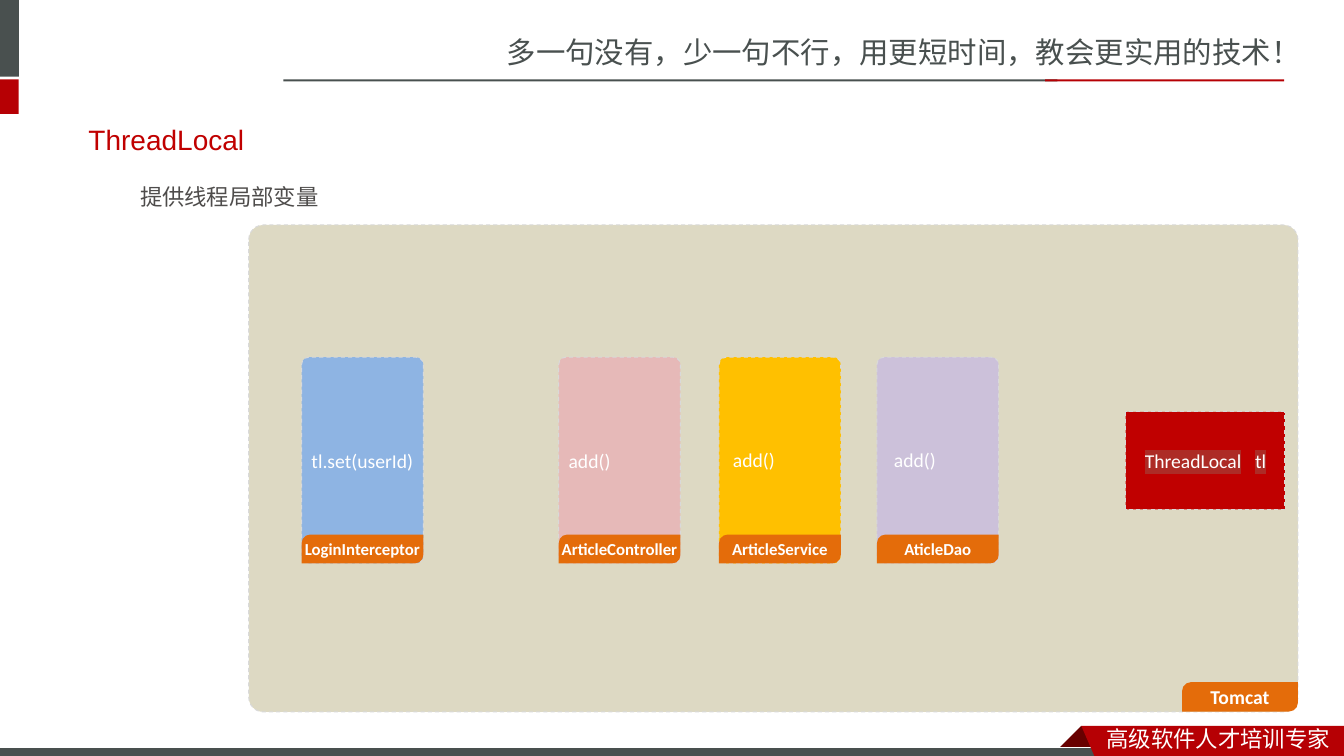
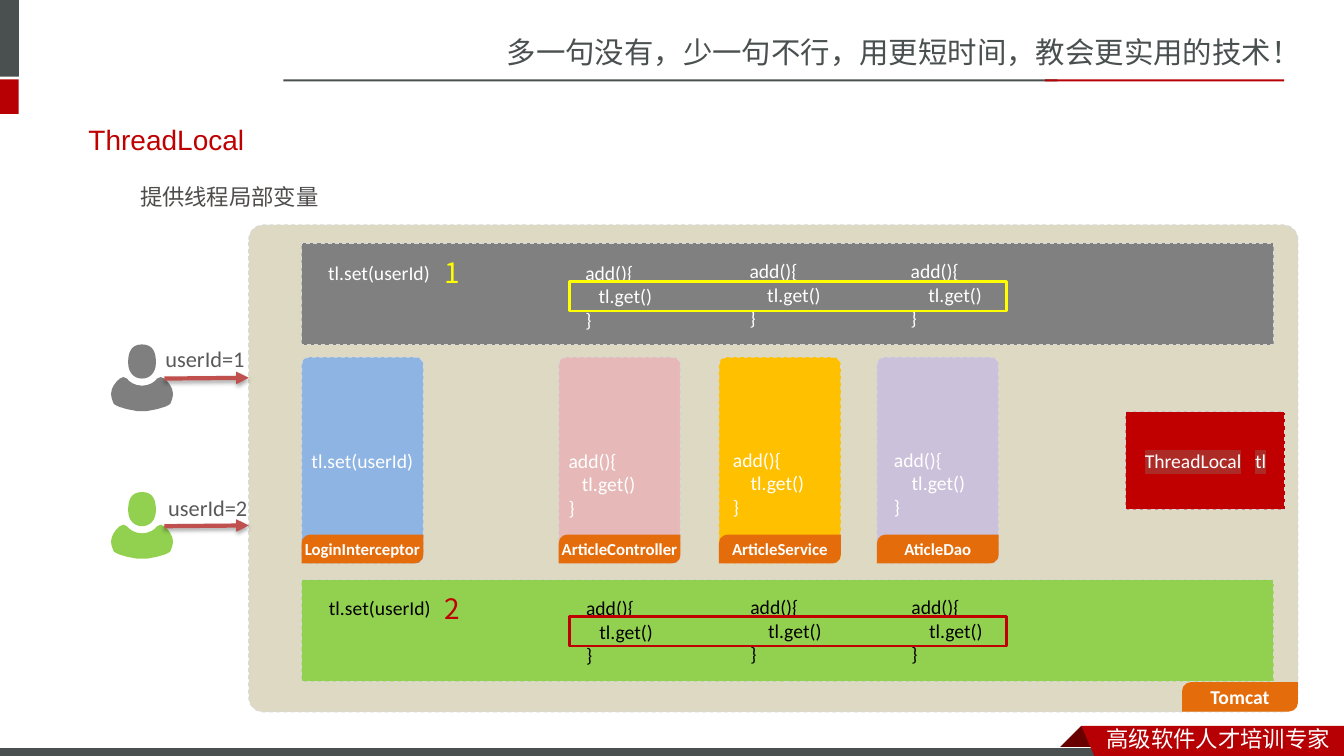
from lxml import etree
from pptx import Presentation
from pptx.dml.color import RGBColor
from pptx.enum.dml import MSO_LINE
from pptx.enum.shapes import MSO_CONNECTOR, MSO_SHAPE
from pptx.enum.text import MSO_ANCHOR, PP_ALIGN
from pptx.oxml.ns import qn
from pptx.util import Cm, Pt

COLORS = {
    "slate": "49504F", "red": "B60004", "dark red": "680000", "crimson": "C00000",
    "white": "FFFFFF", "black": "000000", "body": "4E4C4B", "user": "595959",
    "sand": "DDD9C3", "dash": "D9D9D9", "orange": "E46C0A", "blue": "8EB4E3",
    "pink": "E6B9B8", "amber": "FFC000", "lilac": "CCC1DA", "grey": "808080",
    "person grey": "7F7F7F", "green": "92D050", "yellow": "FFFF00",
    "arrow": "C0504D", "highlight": "AD2B26",
}
SC, JP = "Noto Sans CJK SC", "Noto Sans CJK JP"

# Cards: name, left, colour, left of the code, rise of the code, indent of the call
CARDS = [
    ("LoginInterceptor", 7.6, "blue", 7.6, 0, None),
    ("ArticleController", 14.08, "pink", 14.08, 0, 3),
    ("ArticleService", 18.12, "amber", 18.22, 0.03, 4),
    ("AticleDao", 22.1, "lilac", 22.28, 0.03, 4),
]

# Threads: number, lane top, lane colour, code shift, code top, code colour,
# frame top, mark colour, person top, person colour, left and top of the user label
THREADS = [
    ("1", 6.13, "grey", 0.42, 6.44, "white", 7.1, "yellow", 8.68, "person grey", 3.92, 8.58),
    ("2", 14.61, "green", 0.44, 14.9, "black", 15.54, "crimson", 12.4, "green", 3.99, 12.33),
]

# Right halves of the person outline, in 0.01 cm: start, then cubic curves
AXIS = 79
PERSON = [
    ((79, 104), [
        ((97, 104), (112, 94), (117, 86)), ((122, 81), (130, 81), (135, 86)),
        ((145, 94), (157, 109), (157, 124)), ((157, 135), (152, 145), (150, 150)),
        ((147, 152), (142, 155), (137, 157)), ((132, 160), (122, 160), (117, 163)),
        ((108, 165), (100, 166), (91, 168)), ((87, 168), (83, 168), (79, 168))]),
    ((79, 0), [((107, 0), (114, 20), (114, 46)), ((114, 71), (99, 86), (79, 86))]),
]


def paint(shape, fill=None, line=None, width=0.75, dashed=False):
    shape.shadow.inherit = False
    if fill:
        shape.fill.solid()
        shape.fill.fore_color.rgb = RGBColor.from_string(COLORS[fill])
    else:
        shape.fill.background()
    if line:
        shape.line.color.rgb = RGBColor.from_string(COLORS[line])
        shape.line.width = Pt(width)
        if dashed:
            shape.line.dash_style = MSO_LINE.DASH
    else:
        shape.line.fill.background()


def write(shape, lines, size, color, font="Calibri", label=False):
    frame = shape.text_frame
    frame.word_wrap = True
    if label:
        frame.vertical_anchor = MSO_ANCHOR.MIDDLE
        frame.margin_left = frame.margin_right = 0
        frame.margin_top = frame.margin_bottom = 0
    frame.text = "\n".join(lines)
    for paragraph in frame.paragraphs:
        paragraph.alignment = PP_ALIGN.CENTER if label else PP_ALIGN.LEFT
        paragraph.font.size = Pt(size)
        paragraph.font.bold = label
        paragraph.font.color.rgb = RGBColor.from_string(COLORS[color])
        paragraph.font.name = font
        properties = paragraph._p.pPr.find(qn("a:defRPr"))
        etree.SubElement(properties, qn("a:ea")).set("typeface", font)


# Full person outline: each right half, then its mirror image back to the start
person_contours = []
for start, curves in PERSON:
    points = [start] + [point for curve in curves for point in curve]
    points += [(2 * AXIS - x, y) for x, y in reversed(points[:-1])]
    person_contours.append(points)
person_left = min(x for points in person_contours for x, _ in points)

presentation = Presentation()
presentation.slide_width, presentation.slide_height = Cm(33.87), Cm(19.05)
blank_layout = presentation.slide_layouts[6]

for with_threads in (False, True):
    slide = presentation.slides.add_slide(blank_layout)
    shapes = slide.shapes

    # Shared frame, drawn once and moved to the layout
    if not with_threads:
        for at, color in [
            ((0, 0, 0.48, 1.93), "slate"), ((0, 2, 0.47, 0.87), "red"),
            ((7.14, 2, 19.51, 0.05), "slate"), ((26.34, 2, 6.02, 0.05), "red"),
        ]:
            paint(shapes.add_shape(MSO_SHAPE.RECTANGLE, *map(Cm, at)), color)
        fold = [(2725, 1829), (2781, 1885), (2779, 1887), (2671, 1887), (2669, 1885)]
        ribbon = [(2725, 1829), (3387, 1829), (3387, 1905), (2758, 1905)]
        for points, color in [(fold, "dark red"), (ribbon, "red")]:
            builder = shapes.build_freeform(*points[0], scale=Cm(0.01))
            builder.add_line_segments(points[1:])
            paint(builder.convert_to_shape(), color)
            if points is fold:
                bar = shapes.add_shape(MSO_SHAPE.RECTANGLE, 0, Cm(18.83), Cm(27.91), Cm(0.3))
                paint(bar, "slate", "white")
        for at, text, size, color in [
            ((12.52, 0.73, 21.35, 1.19), "多一句没有，少一句不行，用更短时间，教会更实用的技术！", 21, "slate"),
            ((27.64, 18.16, 6.23, 0.94), "高级软件人才培训专家", 16, "white"),
        ]:
            write(shapes.add_textbox(*map(Cm, at)), [text], size, color, SC)
        for shape in list(shapes):
            blank_layout.shapes._spTree.append(shape._element)

    # Title and subtitle
    title = shapes.add_textbox(Cm(1.98), Cm(2.95), Cm(29.72), Cm(1.1))
    write(title, ["ThreadLocal"], 20, "crimson", "Arial")
    subtitle = shapes.add_textbox(Cm(3.28), Cm(4.5), Cm(6), Cm(0.94))
    write(subtitle, ["提供线程局部变量"], 16, "body", JP)

    # Server panel
    panel = shapes.add_shape(MSO_SHAPE.ROUNDED_RECTANGLE, Cm(6.27), Cm(5.67), Cm(26.44), Cm(12.27))
    panel.adjustments[0] = 0.03
    paint(panel, "sand", "dash", dashed=True)
    tag = shapes.add_shape(MSO_SHAPE.ROUND_2_DIAG_RECTANGLE, Cm(29.79), Cm(17.19), Cm(2.92), Cm(0.74))
    tag.adjustments[0] = 0.3
    paint(tag, "orange")
    write(tag, ["Tomcat"], 14, "white", label=True)

    # Class cards
    for name, left, color, *_ in CARDS:
        group = shapes.add_group_shape()
        card = group.shapes.add_shape(
            MSO_SHAPE.ROUNDED_RECTANGLE, Cm(left), Cm(9), Cm(3.07), Cm(5.2))
        card.adjustments[0] = 0.06
        paint(card, color, "dash", dashed=True)
        tag = group.shapes.add_shape(
            MSO_SHAPE.ROUND_2_DIAG_RECTANGLE, Cm(left), Cm(13.47), Cm(3.07), Cm(0.73))
        tag.adjustments[0] = 0.3
        paint(tag, "orange")
        write(tag, [name], 12, "white", label=True)

    # Shared variable: a tab stop parts type and name
    variable = shapes.add_shape(MSO_SHAPE.RECTANGLE, Cm(28.37), Cm(10.38), Cm(4.01), Cm(2.46))
    paint(variable, "crimson", "dash", dashed=True)
    write(variable, [""], 14, "white", label=True)
    variable.text_frame.margin_left = Cm(0.48)
    paragraph = variable.text_frame.paragraphs[0]
    paragraph.alignment = PP_ALIGN.LEFT
    paragraph.font.bold = False
    tabs = etree.Element(qn("a:tabLst"))
    etree.SubElement(tabs, qn("a:tab"), pos=str(Cm(2.78)), algn="l")
    paragraph._p.pPr.insert(0, tabs)
    run = paragraph.add_run()
    run.text = "ThreadLocal\ttl"
    highlight = etree.SubElement(run._r.get_or_add_rPr(), qn("a:highlight"))
    etree.SubElement(highlight, qn("a:srgbClr"), val=COLORS["highlight"])

    # Users, arrows and thread lanes
    threads = THREADS if with_threads else []
    code_layers = [(0, 11.18, "white")]
    for (number, lane_top, lane_color, shift, code_top, code_color, _, _,
         top, color, label_left, label_top) in threads:
        body, head = person_contours
        builder = shapes.build_freeform(*body[0], scale=Cm(0.01))
        builder.add_line_segments(body[3::3])
        builder.move_to(*head[0])
        builder.add_line_segments(head[3::3])
        person = builder.convert_to_shape(Cm(2.79), Cm(top))
        paint(person, color)
        # Bend each straight segment into its cubic curve
        segments = list(person._element.iter(qn("a:lnTo")))
        curves = [points[i:i + 3] for points in (body, head) for i in range(1, len(points), 3)]
        curve_ends = {curve[2]: curve for curve in curves}
        for segment in segments:
            end = segment[0]
            curve = curve_ends.get((int(end.get("x")) + person_left, int(end.get("y"))))
            if curve:
                segment.tag = qn("a:cubicBezTo")
                for x, y in reversed(curve[:2]):
                    control = etree.Element(qn("a:pt"), x=str(x - person_left), y=str(y))
                    segment.insert(0, control)

        arrow = shapes.add_connector(
            MSO_CONNECTOR.STRAIGHT, Cm(4.14), Cm(top + 0.86), Cm(6.27), Cm(top + 0.84))
        arrow.line.color.rgb = RGBColor.from_string(COLORS["arrow"])
        arrow.line.width = Pt(3)
        etree.SubElement(arrow.line._get_or_add_ln(), qn("a:tailEnd")).set("type", "triangle")
        effects = etree.SubElement(arrow._element.spPr, qn("a:effectLst"))
        shadow = etree.SubElement(effects, qn("a:outerShdw"), blurRad=str(Pt(3.1)),
                                  dist=str(Pt(1.8)), dir="5400000", rotWithShape="0")
        shadow_color = etree.SubElement(shadow, qn("a:srgbClr"), val=COLORS["black"])
        etree.SubElement(shadow_color, qn("a:alpha"), val="35000")

        label = shapes.add_textbox(Cm(label_left), Cm(label_top), Cm(2.54), Cm(0.94))
        write(label, [f"userId={number}"], 16, "user")

        lane = shapes.add_shape(MSO_SHAPE.RECTANGLE, Cm(7.6), Cm(lane_top), Cm(24.5), Cm(2.56))
        paint(lane, lane_color, "dash", dashed=True)
        code_layers.append((shift, code_top, code_color))

    # Code in the cards and in the lanes
    for shift, top, color in code_layers:
        for _, _, _, left, rise, indent in CARDS:
            if indent is None:
                lines = ["tl.set(userId)"]
            elif with_threads:
                lines = ["add(){", " " * indent + "tl.get()", "}"]
            else:
                lines = ["add()"]
            code = shapes.add_textbox(
                Cm(left + shift), Cm(top - rise), Cm(3.1 if indent is None else 2.4),
                Cm(0.26 + 0.6 * len(lines)))
            write(code, lines, 14, color)

    # Value and frame marked in each lane
    for number, lane_top, _, _, _, _, frame_top, mark_color, *_ in threads:
        value = shapes.add_textbox(Cm(10.95), Cm(lane_top + 0.18), Cm(0.94), Cm(1.12))
        write(value, [number], 20, mark_color, JP)
        frame = shapes.add_shape(
            MSO_SHAPE.RECTANGLE, Cm(14.36), Cm(frame_top), Cm(11), Cm(0.74))
        paint(frame, line=mark_color, width=2)

presentation.save("out.pptx")
